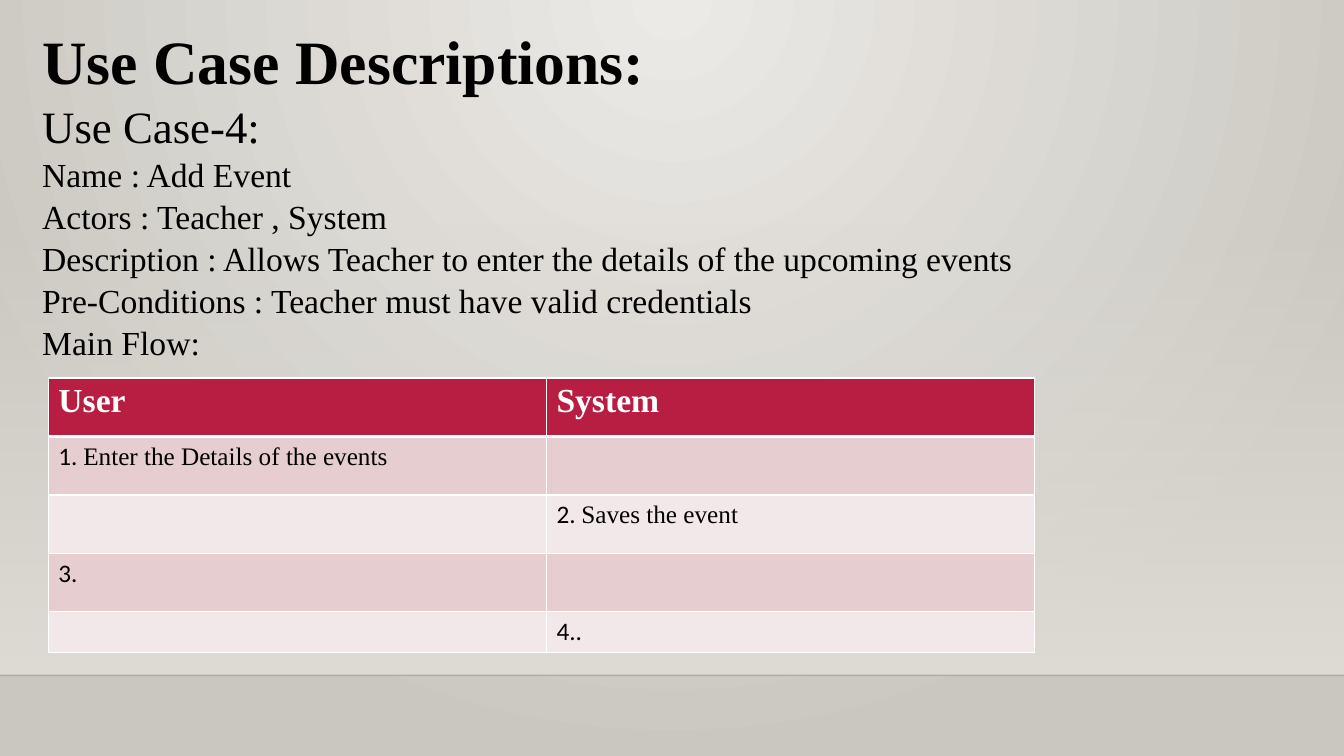
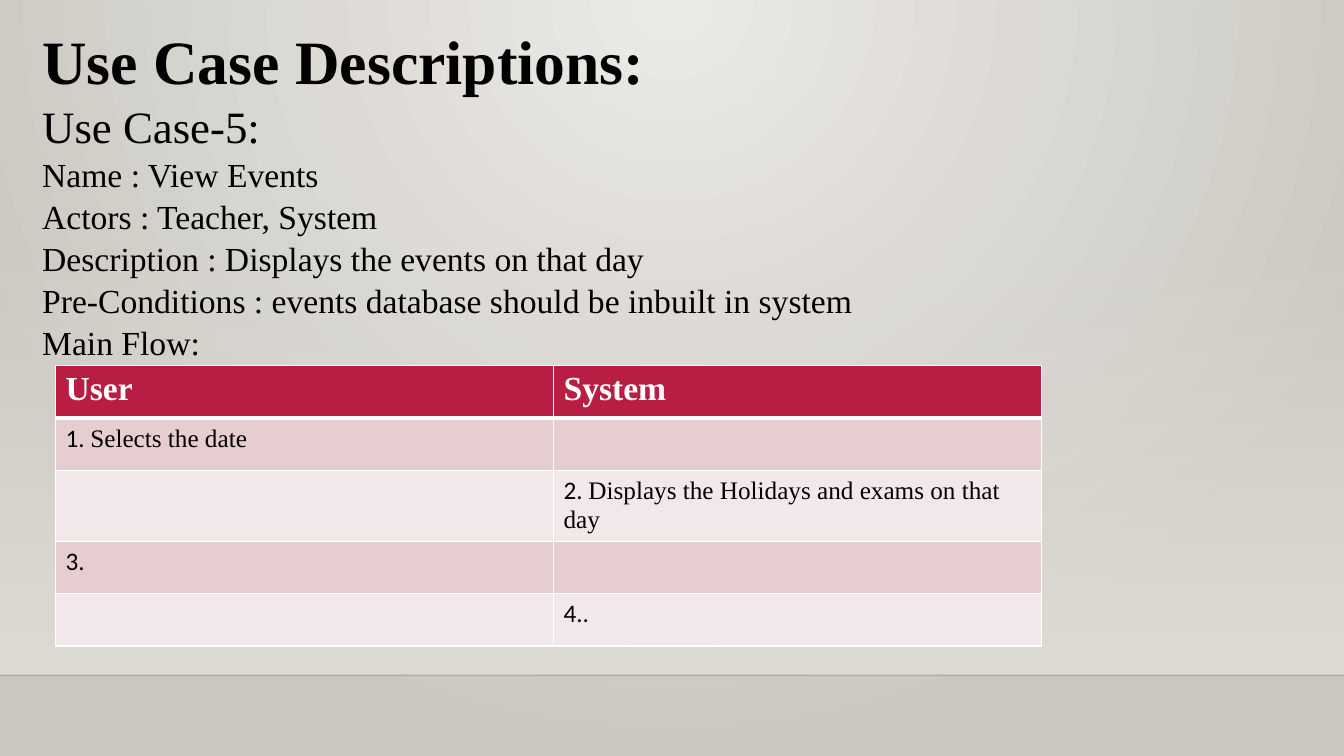
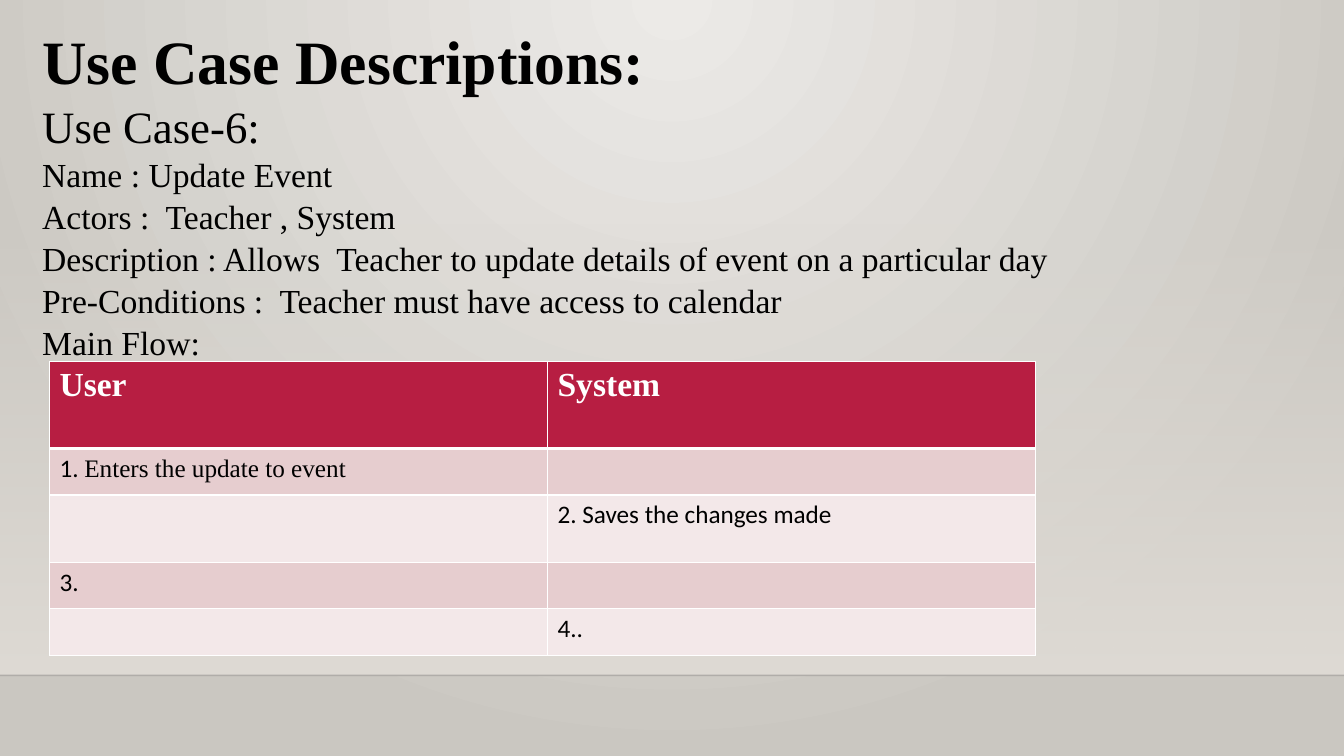
from dataclasses import dataclass

from lxml import etree
from pptx import Presentation
from pptx.dml.color import RGBColor
from pptx.enum import shapes
from pptx.oxml import ns
from pptx.util import Inches, Pt


@dataclass(frozen=True)
class Theme:
    serif: str = "Times New Roman"
    sans: str = "Calibri"
    ink: str = "000000"
    white: str = "FFFFFF"
    red: str = "B71E42"
    bands: tuple = ("E6CDCF", "F3E8E9")
    glow: tuple = ("ECEAE7", "CAC7C1")
    wall: str = "DFDBD5"
    edge: str = "000001"
    title: int = 44
    sub: int = 32
    body: int = 24
    step: int = 18
    lead: float = 1.04
    thin: int = 1
    thick: int = 3


T = Theme()
WIDE, HIGH, FLOOR = 13.33, 7.5, 6.7
COLS = (4.94, 4.84)

CASES = [
    dict(
        lines=["Use Case-4:", "Name : Add Event", "Actors : Teacher , System",
               "Description : Allows Teacher to enter the details of the upcoming events",
               "Pre-Conditions : Teacher must have valid credentials", "Main Flow:"],
        at=(0.48, 3.75),
        rows=(0.58, 0.58, 0.58, 0.58, 0.4),
        steps=[("1. ", "Enter the Details of the events"),
               ("2. ", "Saves the event"), ("3.", ""), ("4..", "")]),
    dict(
        lines=["Use Case-5:", "Name : View Events", "Actors : Teacher, System",
               "Description : Displays the events on that day",
               "Pre-Conditions : events database should be inbuilt in system", "Main Flow:"],
        at=(0.55, 3.63),
        rows=(0.52, 0.52, 0.7, 0.52, 0.52),
        steps=[("1. ", "Selects the date"),
               ("2. ", "Displays the Holidays and exams on that day"), ("3.", ""), ("4..", "")]),
    dict(
        lines=["Use Case-6:", "Name : Update Event", "Actors :  Teacher , System",
               "Description : Allows  Teacher to update details of event on a particular day",
               "Pre-Conditions :  Teacher must have access to calendar", "Main Flow:"],
        at=(0.49, 3.59),
        rows=(0.86, 0.46, 0.67, 0.46, 0.46),
        steps=[("1. ", "Enters the update to event"),
               ("2. Saves the changes made", ""), ("3.", ""), ("4..", "")]),
]


def rgb(code):
    return RGBColor.from_string(code)


def sub(node, tag, **attrs):
    return etree.SubElement(node, ns.qn(tag), **attrs)


def say(par, words, font=T.serif, size=T.body, color=T.ink, bold=False):
    run = par.add_run()
    run.text = words
    run.font.name = font
    run.font.size = Pt(size)
    run.font.bold = bold
    run.font.color.rgb = rgb(color)


def blend(fill, colors):
    fill.gradient()
    for stop, color, pos in zip(fill.gradient_stops, colors, (0, 1)):
        stop.color.rgb = rgb(color)
        stop.position = pos


def fade(node, alpha):
    sub(node.find(".//" + ns.qn("a:srgbClr")), "a:alpha", val=str(alpha * 1000))


def glow(layout):
    blend(layout.background.fill, T.glow)
    grad = layout.element.find(".//" + ns.qn("a:gradFill"))
    grad.remove(grad.find(ns.qn("a:lin")))
    path = sub(grad, "a:path", path="circle")
    sub(path, "a:fillToRect", l="43000", t="0", r="43000", b="100000")


def stage(slide):
    layout = slide.slide_layout
    for item in list(layout.placeholders):
        item.element.getparent().remove(item.element)
    glow(layout)

    top = 2.21
    wall = slide.shapes.add_shape(
        shapes.MSO_SHAPE.RECTANGLE, 0, Inches(top), Inches(WIDE), Inches(FLOOR - top))
    wall.shadow.inherit = False
    wall.line.fill.background()
    blend(wall.fill, (T.wall, T.wall))
    wall.fill.gradient_angle = 270
    fade(wall.element.spPr, 0)

    edge = slide.shapes.add_connector(
        shapes.MSO_CONNECTOR.STRAIGHT, 0, Inches(FLOOR), Inches(WIDE), Inches(FLOOR))
    edge.line.color.rgb = rgb(T.edge)
    edge.line.width = Pt(T.thin)
    fade(edge.element.spPr, 20)
    sub(edge.element.spPr, "a:effectLst")

    for part in (wall, edge):
        layout.shapes.element.append(part.element)


def brief(slide, box, lines):
    frame = slide.shapes.add_textbox(*map(Inches, box)).text_frame
    frame.word_wrap = True
    sizes = [T.title, T.sub] + [T.body] * (len(lines) - 1)
    for i, (words, size) in enumerate(zip(["Use Case Descriptions:"] + lines, sizes)):
        par = frame.add_paragraph() if i else frame.paragraphs[0]
        par.line_spacing = T.lead
        say(par, words, size=size, bold=i == 0)


def rule(cell, **widths):
    props = cell.fill and cell._tc.get_or_add_tcPr()
    for i, side in enumerate("LRTB"):
        line = etree.Element(ns.qn("a:ln" + side), w=str(Pt(widths.get(side, T.thin))))
        sub(sub(line, "a:solidFill"), "a:srgbClr", val=T.white)
        props.insert(i, line)


def flow(slide, at, rows, steps):
    box = map(Inches, (*at, sum(COLS), sum(rows)))
    grid = slide.shapes.add_table(len(rows), len(COLS), *box).table
    for col, width in zip(grid.columns, COLS):
        col.width = Inches(width)
    for r, height in enumerate(rows):
        grid.rows[r].height = Inches(height)
        for c in range(len(COLS)):
            cell = grid.cell(r, c)
            cell.fill.solid()
            cell.fill.fore_color.rgb = rgb(T.bands[(r - 1) % 2] if r else T.red)
            rule(cell, **({0: {"B": T.thick}, 1: {"T": T.thick}}.get(r, {})))
    for c, name in enumerate(("User", "System")):
        say(grid.cell(0, c).text_frame.paragraphs[0], name, color=T.white, bold=True)
    for i, step in enumerate(steps):
        par = grid.cell(i + 1, i % 2).text_frame.paragraphs[0]
        for words, font in zip(step, (T.sans, T.serif)):
            if words:
                say(par, words, font=font, size=T.step)


def main():
    deck = Presentation()
    deck.slide_width, deck.slide_height = Inches(WIDE), Inches(HIGH)
    blank = deck.slide_layouts[6]
    for i, case in enumerate(CASES):
        slide = deck.slides.add_slide(blank)
        if i == 0:
            stage(slide)
        brief(slide, (0.32, 0.15, 13.01, 4.34), case["lines"])
        flow(slide, case["at"], case["rows"], case["steps"])
    deck.save("out.pptx")


if __name__ == "__main__":
    main()
